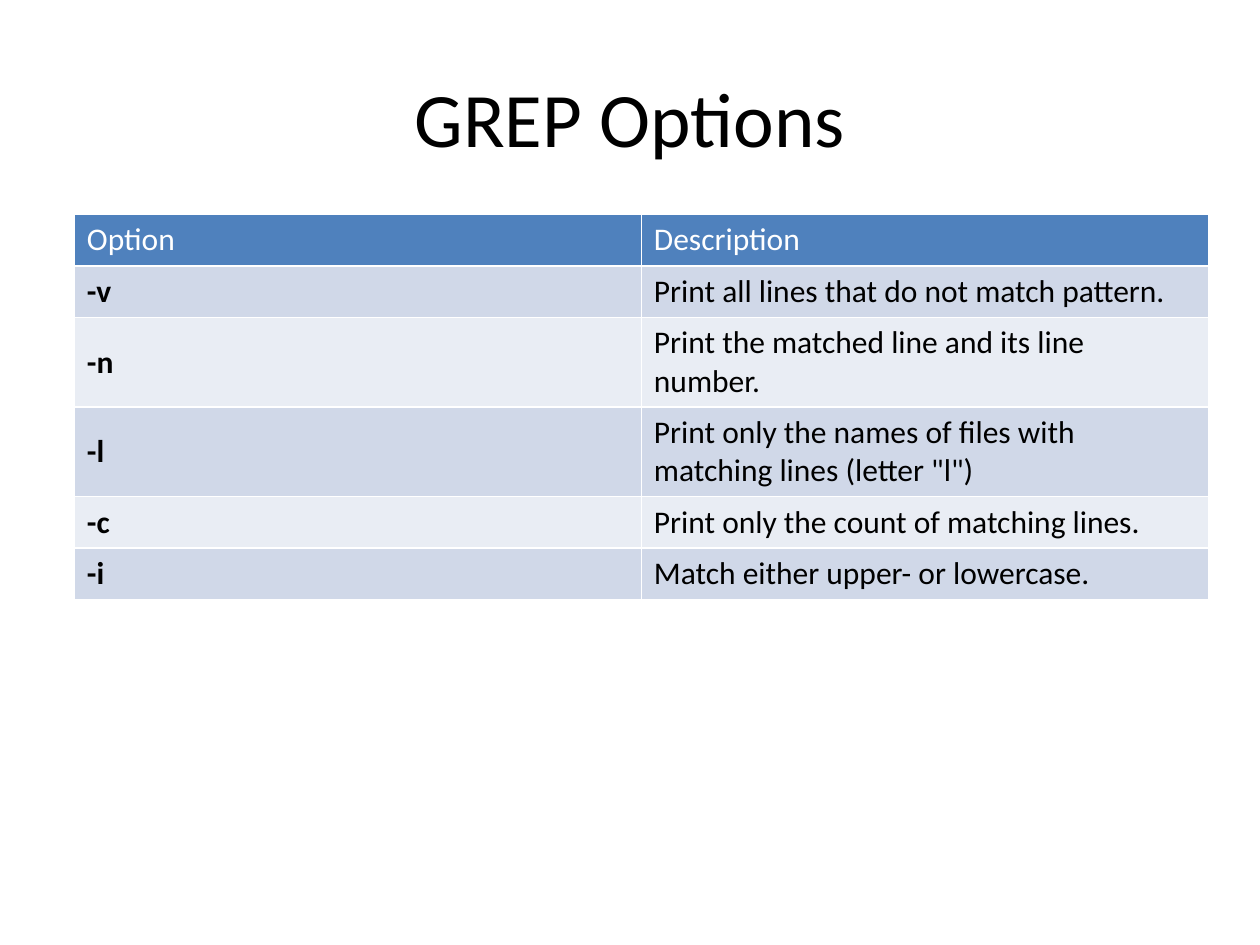
from typing import NamedTuple

from pptx import Presentation
from pptx import util as u
from pptx.dml import color
from pptx.enum import text as t


class Row(NamedTuple):
    """One line of the option table."""
    flag: str
    note: str


HEAD = Row("Option", "Description")
ROWS = [
    Row("-v", "Print all lines that do not match pattern."),
    Row("-n", "Print the matched line and its line number."),
    Row("-l", 'Print only the names of files with matching lines (letter "l")'),
    Row("-c", "Print only the count of matching lines."),
    Row("-i", "Match either upper- or lowercase."),
]
BLUE, WHITE, BLACK = "4F81BD", "FFFFFF", "000000"
BANDS = ["D0D8E8", "E9EDF4"]


def rgb(code: str) -> color.RGBColor:
    """Turn a hex string into a colour."""
    return color.RGBColor.from_string(code)


def write(frame, words: str, *, size: float = 18, ink: str = BLACK,
          bold: bool = False, align=t.PP_ALIGN.LEFT) -> None:
    """Put one formatted run of text into a frame."""
    para = frame.paragraphs[0]
    para.alignment = align
    run = para.add_run()
    run.text = words
    font = run.font
    font.name, font.size, font.bold = "Calibri", u.Pt(size), bold
    font.color.rgb = rgb(ink)


def fill(cell, words: str, back: str, **form) -> None:
    """Colour a table cell and write its text."""
    cell.fill.solid()
    cell.fill.fore_color.rgb = rgb(back)
    cell.vertical_anchor = t.MSO_ANCHOR.MIDDLE
    write(cell.text_frame, words, **form)


def add_title(slide, words: str) -> None:
    """Place and format the title."""
    title = slide.shapes.title
    title.left, title.top = u.Inches(0.5), u.Inches(0.3)
    title.width, title.height = u.Inches(9), u.Inches(1.25)
    title.text_frame.vertical_anchor = t.MSO_ANCHOR.MIDDLE
    write(title.text_frame, words, size=44, align=t.PP_ALIGN.CENTER)


def add_grid(slide) -> None:
    """Draw the table with its header and banded rows."""
    high = u.Inches(0.41)
    count = len(ROWS) + 1
    grid = slide.shapes.add_table(count, 2, u.Inches(0.59), u.Inches(1.7),
                                  u.Inches(9), high * count).table
    for col, words in enumerate(HEAD):
        fill(grid.cell(0, col), words, BLUE, ink=WHITE)
    for num, row in enumerate(ROWS):
        for col, words in enumerate(row):
            fill(grid.cell(num + 1, col), words, BANDS[num % 2], bold=col == 0)


def main() -> None:
    """Build and save the slide."""
    deck = Presentation()
    deck.slide_width, deck.slide_height = u.Inches(10), u.Inches(7.5)
    slide = deck.slides.add_slide(deck.slide_layouts.get_by_name("Title Only"))
    add_title(slide, "GREP Options")
    add_grid(slide)
    deck.save("out.pptx")


main()
